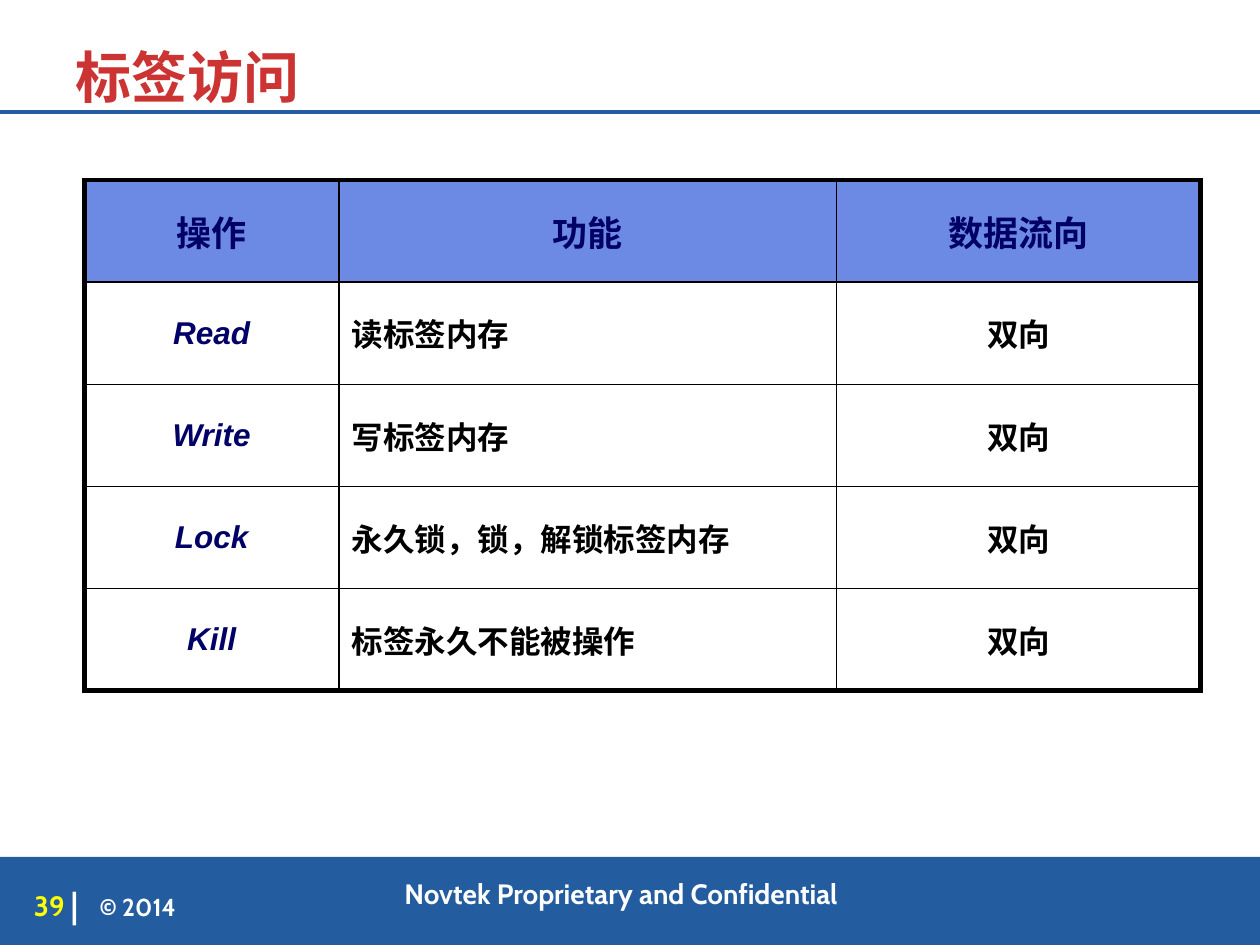
"""Build the tag access slide: a bordered table of operations above a footer bar."""
import pptx
import pptx.dml.color
import pptx.enum.shapes
import pptx.enum.text
import pptx.oxml
import pptx.oxml.ns
import pptx.util

Inches, Pt = pptx.util.Inches, pptx.util.Pt
RGB = pptx.dml.color.RGBColor.from_string
ALIGN, ANCHOR = pptx.enum.text.PP_ALIGN, pptx.enum.text.MSO_ANCHOR

THEME = {
    "blue": "235D9F", "red": "CC3333", "navy": "000066", "header": "6C89E4",
    "white": "FFFFFF", "yellow": "FFFF00", "black": "000000",
    "title": 32, "mark": 20, "head": 20, "body": 18, "footer": 16, "small": 14,
    "display": "Cabin", "text": "Arial", "thick": 3, "thin": 1,
}


def write(p, text, color, size, **fmt):
    r = p.add_run()
    r.text = text
    r.font.color.rgb = RGB(THEME[color])
    for name, value in {"size": Pt(THEME[size]), "bold": True, **fmt}.items():
        setattr(r.font, name, value)


def add_border(cell, side, width):
    cell._tc.get_or_add_tcPr().append(pptx.oxml.parse_xml(
        f'<a:ln{side} {pptx.oxml.ns.nsdecls("a")} w="{Pt(width)}"><a:solidFill>'
        f'<a:srgbClr val="{THEME["black"]}"/></a:solidFill></a:ln{side}>'))


prs = pptx.Presentation()
prs.slide_width, prs.slide_height = Inches(10), Inches(7.5)
s = prs.slides.add_slide(prs.slide_layouts[6])

bar = s.shapes.add_shape(pptx.enum.shapes.MSO_SHAPE.RECTANGLE,
                         Inches(0), Inches(6.8), Inches(10), Inches(0.7))
bar.shadow.inherit = False
bar.fill.solid()
bar.fill.fore_color.rgb = RGB(THEME["blue"])
bar.line.fill.background()

rule = s.shapes.add_connector(pptx.enum.shapes.MSO_CONNECTOR.STRAIGHT,
                              Inches(0), Inches(0.89), Inches(10), Inches(0.89))
rule.line.color.rgb = RGB(THEME["blue"])
rule.line.width = Pt(2.25)
rule._element.spPr.append(pptx.oxml.parse_xml(
    f'<a:effectLst {pptx.oxml.ns.nsdecls("a")}/>'))

texts = [
    ("Novtek Proprietary and Confidential", (2.84, 6.95, 4.18, 0.27),
     "white", "footer", ANCHOR.BOTTOM, ALIGN.CENTER),
    ("© 2014", (0.79, 7.07, 1.67, 0.25), "white", "small", ANCHOR.MIDDLE, ALIGN.LEFT),
    ("39", (0.17, 7.06, 0.5, 0.25), "yellow", "footer", ANCHOR.MIDDLE, ALIGN.CENTER),
    ("|", (0.56, 7.06, 0.26, 0.23), "white", "mark", ANCHOR.MIDDLE, ALIGN.LEFT),
    ("标签访问", (0.6, 0, 9.3, 0.87), "red", "title", ANCHOR.BOTTOM, ALIGN.LEFT),
]
texts[2] = (*texts[2][:1], (0.27, 7.06, 0.4, 0.25), *texts[2][2:5], ALIGN.LEFT)
for text, box, color, size, anchor, align in texts:
    tf = s.shapes.add_textbox(*map(Inches, box)).text_frame
    frame = {"word_wrap": True, "vertical_anchor": anchor, "margin_left": 0,
             "margin_right": 0, "margin_top": 0, "margin_bottom": 0}
    for name, value in frame.items():
        setattr(tf, name, value)
    p = tf.paragraphs[0]
    p.alignment = align
    if size == "title":
        p.line_spacing = 0.85
    write(p, text, color, size, name=THEME["display"])

rows = [
    ("操作", "功能", "数据流向"),
    ("Read", "读标签内存", "双向"),
    ("Write", "写标签内存", "双向"),
    ("Lock", "永久锁，锁，解锁标签内存", "双向"),
    ("Kill", "标签永久不能被操作", "双向"),
]
widths = [2.02, 3.95, 2.89]
row_height = 0.81
table = s.shapes.add_table(
    len(rows), len(widths), Inches(0.67), Inches(1.43),
    Inches(sum(widths)), Inches(row_height * len(rows))).table
table.first_row = table.horz_banding = False
for column, width in zip(table.columns, widths):
    column.width = Inches(width)

for i, row in enumerate(rows):
    table.rows[i].height = Inches(row_height)
    for j, text in enumerate(row):
        cell = table.cell(i, j)
        cell.vertical_anchor = ANCHOR.MIDDLE
        outer = {"L": j == 0, "R": j == len(widths) - 1,
                 "T": i == 0, "B": i == len(rows) - 1}
        for side, is_outer in outer.items():
            add_border(cell, side, THEME["thick" if is_outer else "thin"])
        if i == 0:
            cell.fill.solid()
            cell.fill.fore_color.rgb = RGB(THEME["header"])
        else:
            cell.fill.background()
        p = cell.text_frame.paragraphs[0]
        p.alignment = ALIGN.LEFT if i and j == 1 else ALIGN.CENTER
        write(p, text, "navy" if i == 0 or j == 0 else "black",
              "body" if i else "head", name=THEME["text"], italic=i > 0 and j == 0)

prs.save("out.pptx")
